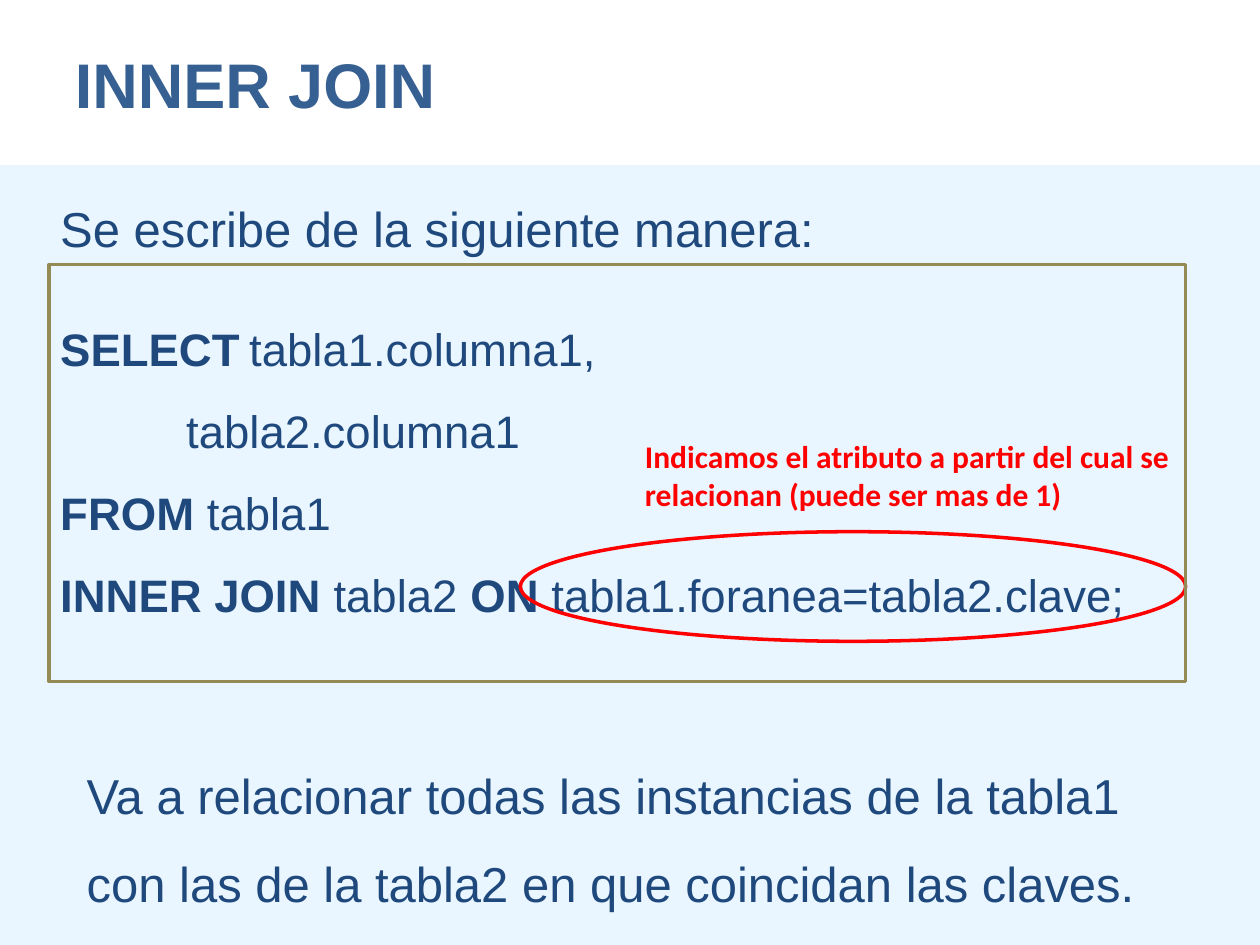
from dataclasses import dataclass
from lxml import etree
from pptx import Presentation
from pptx.dml.color import RGBColor
from pptx.enum.shapes import MSO_SHAPE
from pptx.enum.text import MSO_ANCHOR, PP_ALIGN
from pptx.oxml.ns import qn
from pptx.util import Inches, Pt

RECT, OVAL = MSO_SHAPE.RECTANGLE, MSO_SHAPE.OVAL
MIDDLE, CENTER, LEFT = MSO_ANCHOR.MIDDLE, PP_ALIGN.CENTER, PP_ALIGN.LEFT


@dataclass
class Theme:
    title: str = "376092"
    body: str = "1F497D"
    band: str = "CCECFF"
    accent: str = "FF0000"
    frame: str = "948A54"
    font: str = "Arial"
    note_font: str = "Calibri"
    title_size: int = 36
    body_size: int = 28
    code_size: int = 26
    note_size: int = 18
    band_alpha: int = 43000


t = Theme()
prs = Presentation()
prs.slide_width, prs.slide_height = Inches(10), Inches(7.5)
s = prs.slides.add_slide(prs.slide_layouts[5])


def add_shape(kind, box, fill=None, line=None):
    sp = s.shapes.add_shape(kind, *map(Inches, box))
    sp.shadow.inherit = False
    if fill:
        sp.fill.solid()
        sp.fill.fore_color.rgb = RGBColor.from_string(fill)
    else:
        sp.fill.background()
    if line:
        sp.line.color.rgb = RGBColor.from_string(line)
        sp.line.width = Pt(2)
    else:
        sp.line.fill.background()
    return sp


def write(sp, lines, color, font, align=LEFT, spacing=1.0):
    """Each line is (size, space before, [(text, bold), ...])."""
    tf = sp.text_frame
    tf.word_wrap = True
    for i, (size, before, runs) in enumerate(lines):
        p = tf.paragraphs[0] if i == 0 else tf.add_paragraph()
        p.alignment, p.line_spacing = align, spacing
        p.space_before = Pt(before)
        for text, bold in runs:
            r = p.add_run()
            r.text = text
            r.font.name, r.font.size, r.font.bold = font, Pt(size), bold
            r.font.color.rgb = RGBColor.from_string(color)


# Tinted area below the title
band_top = 1.31
band = add_shape(RECT, (0, band_top, 10, 7.5 - band_top), fill=t.band)
color = band.fill._xPr.find(qn("a:solidFill"))[0]
etree.SubElement(color, qn("a:alpha")).set("val", str(t.band_alpha))

# Title
title = s.shapes.title
title.left, title.top, title.width, title.height = map(Inches, (0.39, 0.04, 3.27, 1.25))
title.text_frame.vertical_anchor = MIDDLE
write(title, [(t.title_size, 0, [("INNER JOIN", True)])], t.title, t.font, CENTER)

# Introduction and SQL syntax
syntax = s.shapes.add_textbox(*map(Inches, (0.38, 1.29, 8.9, 3.66)))
write(syntax, [
    (t.body_size, 0, [("Se escribe de la siguiente manera:", False)]),
    (t.code_size, 21, [("SELECT", True), ("\ttabla1.columna1,", False)]),
    (t.code_size, 0, [("\t\ttabla2.columna1", False)]),
    (t.code_size, 0, [("FROM", True), (" tabla1", False)]),
    (t.code_size, 0, [("INNER JOIN", True), (" tabla2 ", False), ("ON", True),
                      (" tabla1.foranea=tabla2.clave;", False)]),
], t.body, t.font, spacing=1.5)

# Highlighted join condition, its note and the frame around the syntax
add_shape(OVAL, (4.13, 4.22, 5.28, 0.87), line=t.accent)
note = s.shapes.add_textbox(*map(Inches, (5.02, 3.42, 5.12, 0.71)))
write(note, [(t.note_size, 0, [
    ("Indicamos el atributo a partir del cual se relacionan (puede ser mas de 1)", True),
])], t.accent, t.note_font)
add_shape(RECT, (0.39, 2.1, 9.02, 3.31), line=t.frame)

# Conclusion
conclusion = s.shapes.add_textbox(*map(Inches, (0.59, 5.79, 8.9, 1.43)))
write(conclusion, [(t.body_size, 0, [
    ("Va a relacionar todas las instancias de la tabla1 con las de la tabla2 "
     "en que coincidan las claves.", False),
])], t.body, t.font, spacing=1.5)

prs.save("out.pptx")
